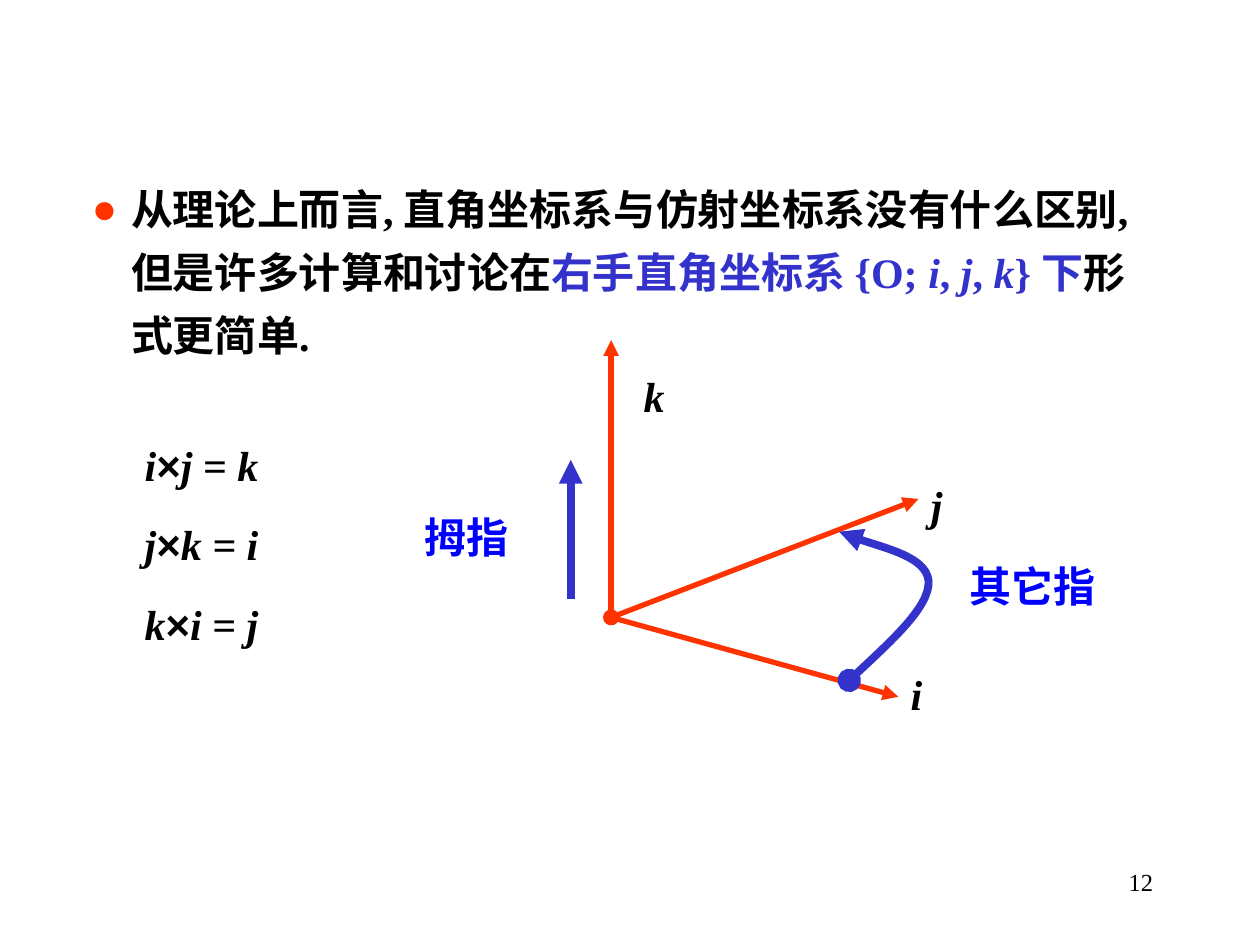
import pptx
import pptx.util
import pptx.dml.color
import pptx.enum.text
import pptx.enum.shapes
import pptx.oxml.ns
from lxml import etree

Inches, Pt = pptx.util.Inches, pptx.util.Pt
qn = pptx.oxml.ns.qn

# Content: runs are (text, style) with style letters b = bold, i = italic
COLORS = {"ink": "000000", "axis": "FF3300", "turn": "3333CC", "finger": "0000FF"}
SERIF, SANS = "Times New Roman", "Arial"
BODY = [
    [("从理论上而言, 直角坐标系与仿射坐标系没有什么区别,", "b", "ink")],
    [("但是许多计算和讨论在", "b", "ink"), ("右手直角坐标系 {O; ", "b", "turn"),
     ("i", "bi", "turn"), (", ", "b", "turn"), ("j", "bi", "turn"),
     (", ", "b", "turn"), ("k", "bi", "turn"), ("} 下", "b", "turn"),
     ("形", "b", "ink")],
    [("式更简单.", "b", "ink")],
]
PRODUCTS = [("i", "j = k"), ("j", "k = i"), ("k", "i = j")]
PAGE = "12"

# Geometry in inches
ORIGIN = (4.85, 4.9)
AXES = [  # name, tip, label corner
    ("i", (7.13, 5.53), (7.13, 5.26)),
    ("j", (7.29, 3.96), (7.29, 3.76)),
    ("k", (4.85, 2.7), (5.01, 2.89)),
]
THUMB = ((4.53, 4.75), (4.53, 3.65))
FINGERS = [(6.74, 5.4), (7.06, 5.1), (7.38, 4.81), (7.37, 4.61),
           (7.35, 4.42), (6.78, 4.28), (6.66, 4.22)]  # two Bézier pieces
FINGER_LABELS = [("拇指", (3.27, 4.04, 1.42, 0.48)),
                 ("其它指", (7.6, 4.43, 1.97, 0.48))]
PRODUCT_LEFT, PRODUCT_TOP, PRODUCT_PITCH = 1.05, 3.44, 0.63
BODY_BOX, BODY_INDENT = (0.63, 1.31, 9.41, 1.6), 0.31


def rgb(name):
    return pptx.dml.color.RGBColor.from_string(COLORS[name])


def add_run(p, text, style="bi", color="ink", face=SERIF, size=24):
    r = p.add_run()
    r.text = text
    r.font.name, r.font.size = face, Pt(size)
    r.font.bold, r.font.italic = "b" in style, "i" in style
    r.font.color.rgb = rgb(color)


def add_label(slide, box, runs, wrap=False):
    sp = slide.shapes.add_textbox(*map(Inches, box))
    sp.text_frame.word_wrap = wrap
    p = sp.text_frame.paragraphs[0]
    for run in runs:
        add_run(p, *run)
    return p


def style_line(sp, color, width, head=None):
    sp.line.color.rgb = rgb(color)
    sp.line.width = Pt(width)
    ln = sp.line._get_or_add_ln()
    if head:
        etree.SubElement(ln, qn("a:headEnd"), type=head)
    etree.SubElement(ln, qn("a:tailEnd"), type="triangle")


def add_arrow(slide, start, end, color, width, head=None):
    sp = slide.shapes.add_connector(pptx.enum.shapes.MSO_CONNECTOR.STRAIGHT,
                                    *map(Inches, start + end))
    style_line(sp, color, width, head)
    etree.SubElement(sp._element.spPr, qn("a:effectLst"))


def add_curve(slide, points, color, width):
    pts = [(Inches(x), Inches(y)) for x, y in points]
    fb = slide.shapes.build_freeform(*pts[0])
    fb.add_line_segments(pts[1:], close=False)
    sp = fb.convert_to_shape()
    # Every three line points become one cubic piece
    segments = list(sp._element.iter(qn("a:lnTo")))
    outline = segments[0].getparent()
    for n in range(0, len(segments), 3):
        cubic = etree.SubElement(outline, qn("a:cubicBezTo"))
        for seg in segments[n:n + 3]:
            cubic.append(seg[0])
            outline.remove(seg)
    sp.fill.background()
    sp.shadow.inherit = False
    style_line(sp, color, width, "oval")


def fill_body(sp):
    sp.left, sp.top, sp.width, sp.height = map(Inches, BODY_BOX)
    tf = sp.text_frame
    tf.auto_size = pptx.enum.text.MSO_AUTO_SIZE.NONE
    for n, runs in enumerate(BODY):
        p = tf.add_paragraph() if n else tf.paragraphs[0]
        p.line_spacing, p.space_before = 1.25, Pt(0)
        pPr = p._p.get_or_add_pPr()
        pPr.set("marL", str(Inches(BODY_INDENT)))
        pPr.set("indent", str(0 if n else -Inches(BODY_INDENT)))
        if n:
            etree.SubElement(pPr, qn("a:buNone"))
        else:
            tint = etree.SubElement(pPr, qn("a:buClr"))
            etree.SubElement(tint, qn("a:srgbClr"), val=COLORS["axis"])
            etree.SubElement(pPr, qn("a:buFont"), typeface=SERIF)
            etree.SubElement(pPr, qn("a:buChar"), char="●")
        for run in runs:
            add_run(p, *run)


def main():
    prs = pptx.Presentation()
    prs.slide_width, prs.slide_height = Inches(10), Inches(7.5)
    slide = prs.slides.add_slide(prs.slide_layouts[1])
    title = slide.shapes.title._element
    title.getparent().remove(title)

    # Statement and page number
    fill_body(slide.placeholders[1])
    p = add_label(slide, (7.17, 6.83, 2.08, 0.5),
                  [(PAGE, "", "ink", SERIF, 14)], wrap=True)
    p.alignment = pptx.enum.text.PP_ALIGN.RIGHT

    # Axes with their names
    for name, tip, corner in AXES:
        add_arrow(slide, ORIGIN, tip, "axis", 3, "oval")
        add_label(slide, corner + (0.33, 0.5), [(name,)])

    # Right-hand rule
    add_curve(slide, FINGERS, "turn", 4.5)
    add_arrow(slide, *THUMB, "turn", 4.5)
    for text, box in FINGER_LABELS:
        p = add_label(slide, box, [(text, "b", "finger")], wrap=True)
        p.line_spacing = 0.95

    # Cross products
    for n, (left, rest) in enumerate(PRODUCTS):
        box = (PRODUCT_LEFT, PRODUCT_TOP + n * PRODUCT_PITCH, 1.17, 0.5)
        add_label(slide, box, [(left,), ("×", "b", "ink", SANS), (rest,)])

    prs.save("out.pptx")


if __name__ == "__main__":
    main()
